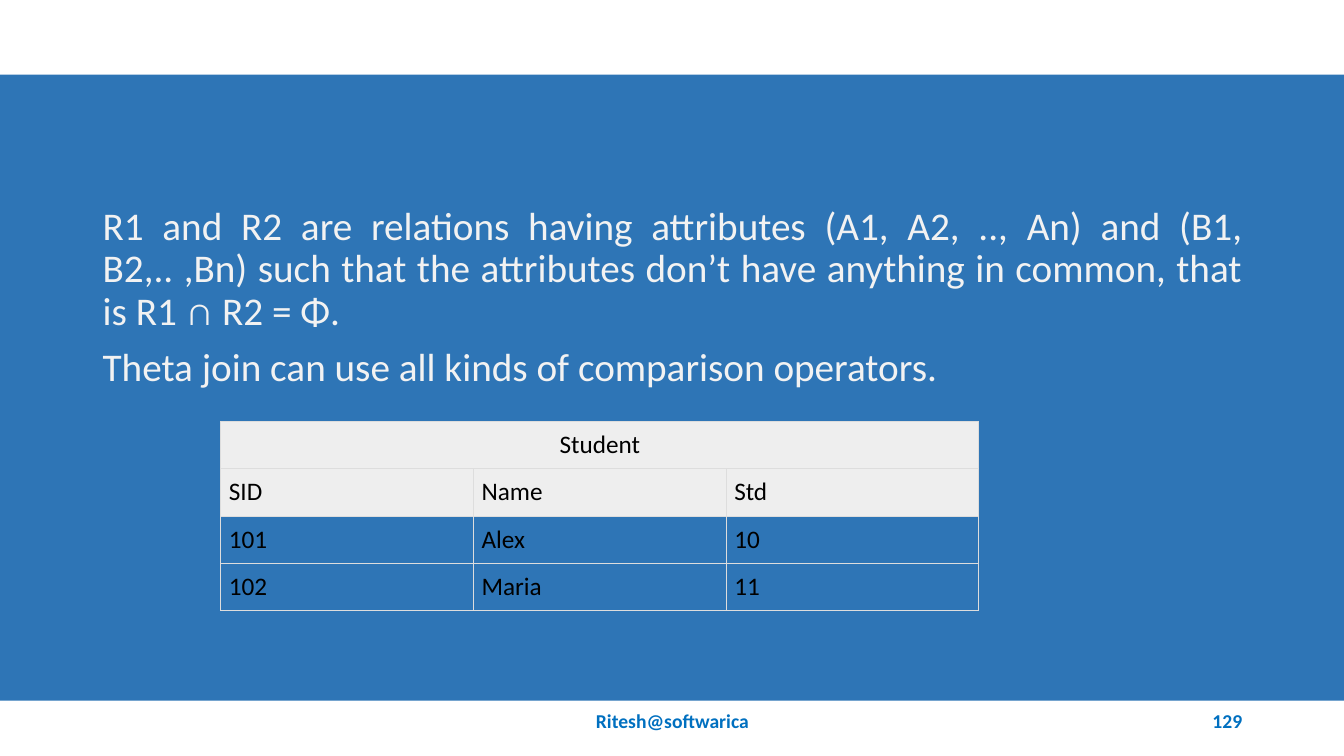
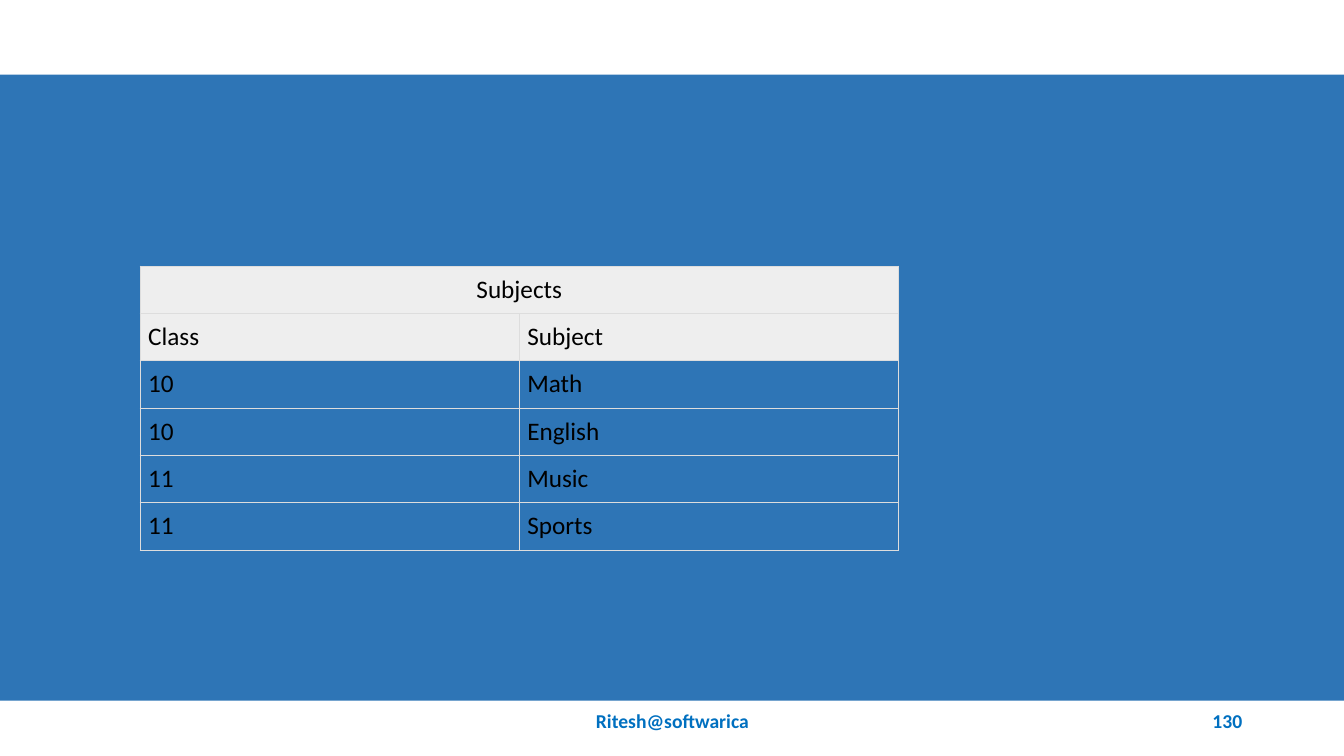
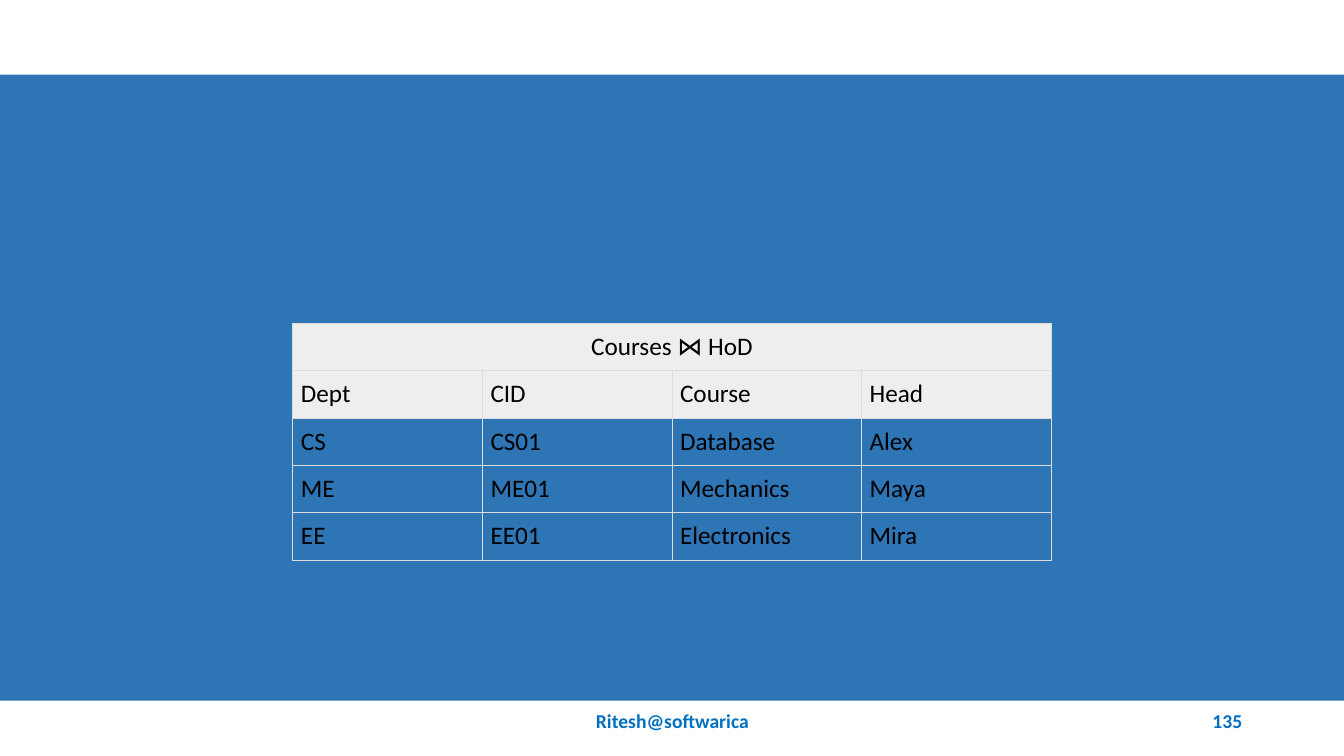
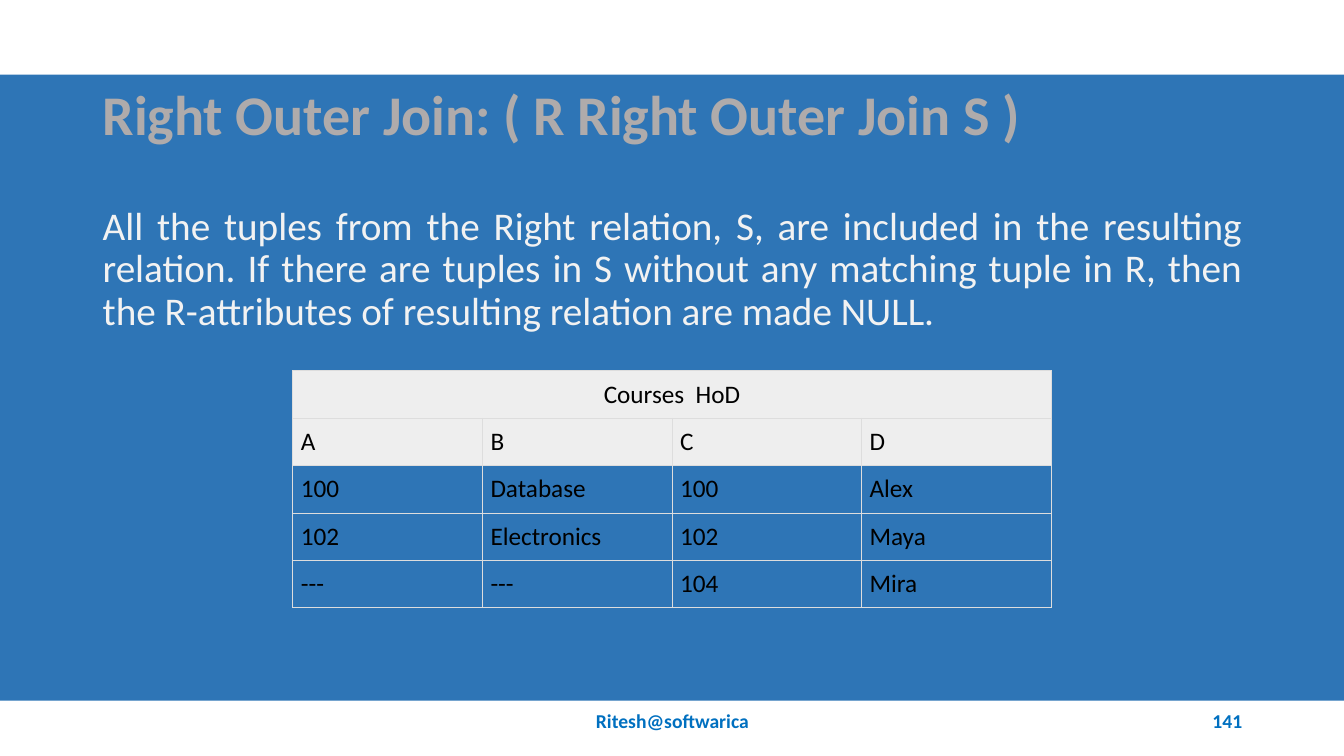
from lxml import etree
from pptx import Presentation
from pptx.dml.color import RGBColor
from pptx.enum.shapes import MSO_SHAPE
from pptx.enum.text import MSO_ANCHOR, PP_ALIGN
from pptx.oxml.ns import qn
from pptx.util import Inches, Pt

RECTANGLE = MSO_SHAPE.RECTANGLE
TOP, MIDDLE = MSO_ANCHOR.TOP, MSO_ANCHOR.MIDDLE
LEFT, CENTER = PP_ALIGN.LEFT, PP_ALIGN.CENTER
RIGHT, JUSTIFY = PP_ALIGN.RIGHT, PP_ALIGN.JUSTIFY

FONT = "Calibri"
COLORS = {
    "band": "2E75B6",
    "title": "AFABAB",
    "body": "F2F2F2",
    "footer": "0070C0",
    "header": "EEEEEE",
    "border": "DDDDDD",
    "cell": "000000",
}
SLIDE_WIDTH, SLIDE_HEIGHT = 13.33, 7.5
BAND_TOP, BAND_HEIGHT = 0.74, 6.21
MARGIN, CONTENT_WIDTH = 0.92, 11.5
TABLE_WIDTH, ROW_HEIGHT, CELL_INSET = 7.52, 0.47, 0.08
HEADER_ROWS = 2


def color(name):
    return RGBColor.from_string(COLORS[name])


def write(para, text, size, fill, bold=False, align=LEFT, spacing=None):
    para.alignment = align
    if spacing:
        para.line_spacing = spacing
    span = para.add_run()
    span.text = text
    span.font.name = FONT
    span.font.size = Pt(size)
    span.font.bold = bold
    span.font.color.rgb = color(fill)


def add_text(page, place, lines, anchor=TOP, gap=0, **style):
    box = page.shapes.add_textbox(*map(Inches, place))
    frame = box.text_frame
    frame.word_wrap = True
    frame.vertical_anchor = anchor
    for index, line in enumerate(lines):
        para = frame.add_paragraph() if index else frame.paragraphs[0]
        if index:
            para.space_before = Pt(gap)
        write(para, line, **style)


def add_title(page, text):
    add_text(page, (MARGIN, BAND_TOP, CONTENT_WIDTH, 0.85), [text],
             anchor=MIDDLE, size=40, fill="title", bold=True, spacing=0.9)


def add_body(page, *lines):
    add_text(page, (MARGIN, 2, CONTENT_WIDTH, 4.76), lines, gap=10,
             size=28, fill="body", align=JUSTIFY, spacing=0.9)


def add_footer(page, left, width, text, align):
    add_text(page, (left, BAND_TOP + BAND_HEIGHT, width, 0.4), [text],
             anchor=MIDDLE, size=14, fill="footer", bold=True, align=align)


def add_page(deck, number):
    page = deck.slides.add_slide(deck.slide_layouts[6])
    band = page.shapes.add_shape(RECTANGLE, 0, Inches(BAND_TOP),
                                 deck.slide_width, Inches(BAND_HEIGHT))
    band.shadow.inherit = False
    band.fill.solid()
    band.fill.fore_color.rgb = color("band")
    band.line.fill.background()
    add_footer(page, 4.42, 4.5, "Ritesh@softwarica", CENTER)
    add_footer(page, 9.42, 3, str(number), RIGHT)
    return page


def add_borders(cell):
    properties = cell._tc.get_or_add_tcPr()
    for side in ("a:lnL", "a:lnR", "a:lnT", "a:lnB"):
        line = etree.SubElement(properties, qn(side), w=str(Pt(0.75)))
        fill = etree.SubElement(line, qn("a:solidFill"))
        etree.SubElement(fill, qn("a:srgbClr"), val=COLORS["border"])


def format_cell(cell, is_header):
    cell.margin_left = cell.margin_right = Inches(CELL_INSET)
    cell.margin_top = cell.margin_bottom = Inches(CELL_INSET)
    add_borders(cell)
    if is_header:
        cell.fill.solid()
        cell.fill.fore_color.rgb = color("header")
    else:
        cell.fill.background()


def add_relation(page, left, top, name, *records):
    row_count, column_count = len(records) + 1, len(records[0])
    frame = page.shapes.add_table(
        row_count, column_count, Inches(left), Inches(top),
        Inches(TABLE_WIDTH), Inches(ROW_HEIGHT * row_count))
    table = frame.table
    table.first_row = table.horz_banding = False
    for row in range(row_count):
        for column in range(column_count):
            format_cell(table.cell(row, column), row < HEADER_ROWS)
    heading = table.cell(0, 0)
    heading.merge(table.cell(0, column_count - 1))
    write(heading.text_frame.paragraphs[0], name, 18, "cell", align=CENTER)
    for row, record in enumerate(records, 1):
        for column, value in enumerate(record):
            para = table.cell(row, column).text_frame.paragraphs[0]
            write(para, value, 18, "cell")


def main():
    deck = Presentation()
    deck.slide_width = Inches(SLIDE_WIDTH)
    deck.slide_height = Inches(SLIDE_HEIGHT)
    centered = (SLIDE_WIDTH - TABLE_WIDTH) / 2

    page = add_page(deck, 129)
    add_body(
        page,
        "R1 and R2 are relations having attributes (A1, A2, .., An) and "
        "(B1, B2,.. ,Bn) such that the attributes don’t have anything in "
        "common, that is R1 ∩ R2 = Φ.",
        "Theta join can use all kinds of comparison operators.")
    add_relation(page, 2.19, 4.18, "Student",
                 ("SID", "Name", "Std"),
                 ("101", "Alex", "10"),
                 ("102", "Maria", "11"))

    page = add_page(deck, 130)
    add_relation(page, 1.39, 2.64, "Subjects",
                 ("Class", "Subject"),
                 ("10", "Math"),
                 ("10", "English"),
                 ("11", "Music"),
                 ("11", "Sports"))

    page = add_page(deck, 135)
    add_relation(page, centered, 3.21, "Courses ⋈ HoD",
                 ("Dept", "CID", "Course", "Head"),
                 ("CS", "CS01", "Database", "Alex"),
                 ("ME", "ME01", "Mechanics", "Maya"),
                 ("EE", "EE01", "Electronics", "Mira"))

    page = add_page(deck, 141)
    add_title(page, "Right Outer Join: ( R Right Outer Join S )")
    add_body(
        page,
        "All the tuples from the Right relation, S, are included in the "
        "resulting relation. If there are tuples in S without any matching "
        "tuple in R, then the R-attributes of resulting relation are made "
        "NULL.")
    add_relation(page, centered, 3.68, "Courses  HoD",
                 ("A", "B", "C", "D"),
                 ("100", "Database", "100", "Alex"),
                 ("102", "Electronics", "102", "Maya"),
                 ("---", "---", "104", "Mira"))

    deck.save("out.pptx")


if __name__ == "__main__":
    main()
